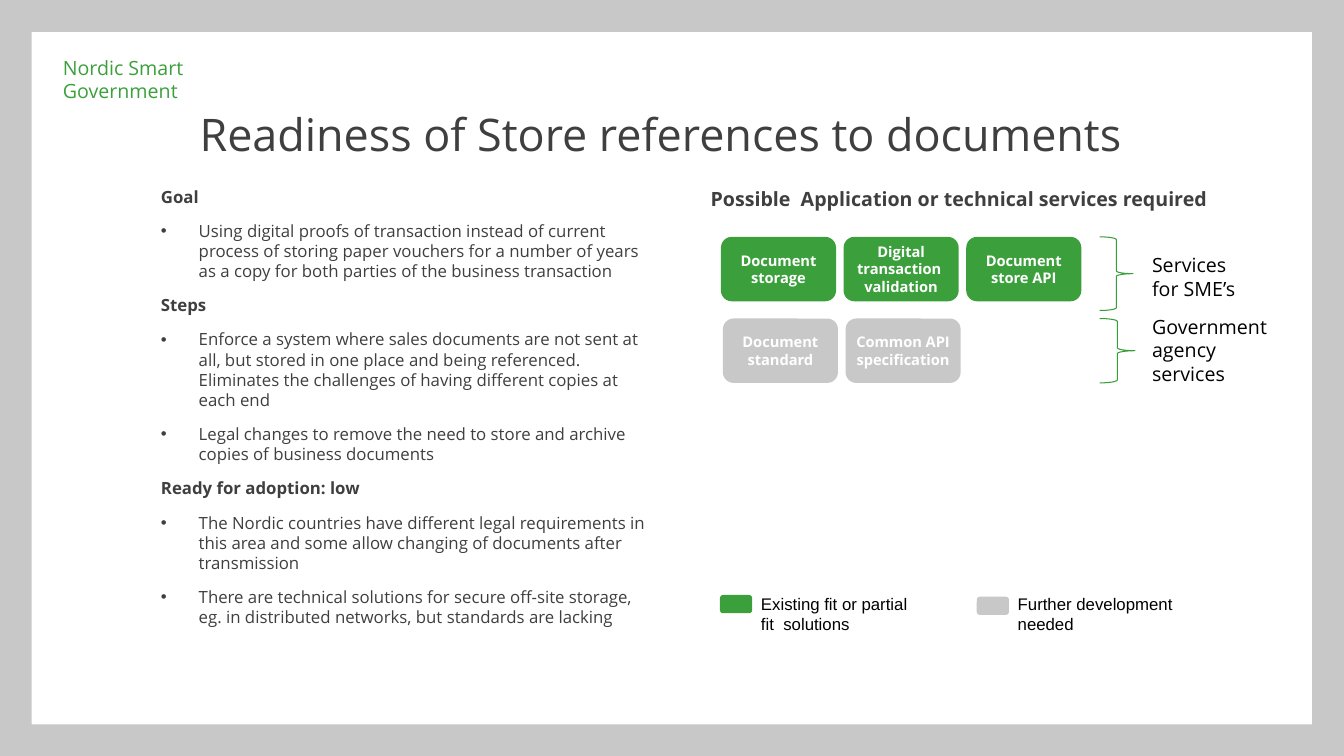
from pptx import Presentation
from pptx.dml.color import RGBColor
from pptx.enum.shapes import MSO_SHAPE
from pptx.enum.text import MSO_ANCHOR, MSO_AUTO_SIZE, PP_ALIGN
from pptx.util import Pt
from lxml.etree import SubElement
from pptx.oxml.ns import qn

COLORS = {"grey": "C8C8C8", "white": "FFFFFF", "green": "3BA03B",
          "brace": "369E36", "text": "3F3F3F", "black": "000000"}


def write(holder, text, size, color="text", font="Open Sans", bold=False,
          align=PP_ALIGN.LEFT, anchor=MSO_ANCHOR.TOP, margins=(7.2, 3.6),
          before=0, indent=0, hanging=0, bullet=False, append=False):
    """Set the text of a shape, or append a paragraph to it."""
    frame = holder.text_frame
    frame.word_wrap = True
    frame.auto_size = MSO_AUTO_SIZE.NONE
    frame.vertical_anchor = anchor
    frame.margin_left = frame.margin_right = Pt(margins[0])
    frame.margin_top = frame.margin_bottom = Pt(margins[1])
    paragraph = frame.add_paragraph() if append else frame.paragraphs[0]
    paragraph.text = text
    paragraph.alignment = align
    paragraph.space_before = Pt(before)
    for run in paragraph.runs:
        run.font.name = font
        run.font.size = Pt(size)
        run.font.bold = bold
        run.font.color.rgb = RGBColor.from_string(COLORS[color])
    properties = paragraph._p.get_or_add_pPr()
    properties.set("marL", str(Pt(indent)))
    properties.set("indent", str(Pt(-hanging)))
    if bullet:
        bullet_color = SubElement(properties, qn("a:buClr"))
        SubElement(bullet_color, qn("a:srgbClr"), val=COLORS[color])
        SubElement(properties, qn("a:buFont"), typeface="Arial")
        SubElement(properties, qn("a:buChar"), char="•")


def add_block(kind, left, top, width, height, fill=None, line=None):
    block = slide.shapes.add_shape(kind, Pt(left), Pt(top), Pt(width), Pt(height))
    block.shadow.inherit = False
    if fill:
        block.fill.solid()
        block.fill.fore_color.rgb = RGBColor.from_string(COLORS[fill])
    else:
        block.fill.background()
    if line:
        block.line.color.rgb = RGBColor.from_string(COLORS[line])
        block.line.width = Pt(0.75)
    else:
        block.line.fill.background()
    return block


deck = Presentation()
deck.slide_width, deck.slide_height = Pt(960), Pt(540)
slide = deck.slides.add_slide(deck.slide_layouts[5])

# Grey frame around a white page, which lies behind the title
slide.background.fill.solid()
slide.background.fill.fore_color.rgb = RGBColor.from_string(COLORS["grey"])
page = add_block(MSO_SHAPE.RECTANGLE, 22.6, 23, 914.5, 494.5, fill="white")
title = slide.shapes.title
title.element.addprevious(page.element)

# Programme name and title
programme = slide.shapes.add_textbox(Pt(37.8), Pt(36.3), Pt(108), Pt(41))
write(programme, "Nordic Smart\vGovernment", 14, color="green")

title.left, title.top, title.width, title.height = Pt(124.5), Pt(68.5), Pt(703), Pt(49.5)
write(title, "Readiness of Store references to documents ", 32.1,
      align=PP_ALIGN.CENTER, anchor=MSO_ANCHOR.BOTTOM)

# Goal, steps and readiness
sections = [
    ("Goal", [
        "Using digital proofs of transaction instead of current process of storing paper "
        "vouchers for a number of years as a copy for both parties of the business transaction"]),
    ("Steps", [
        "Enforce a system where sales documents are not sent at all, but stored in one place and "
        "being referenced. Eliminates the challenges of having different copies at each end",
        "Legal changes to remove the need to store and archive copies of business documents"]),
    ("Ready for adoption: low", [
        "The Nordic countries have different legal requirements in this area and some allow "
        "changing of documents after transmission",
        "There are technical solutions for secure off-site storage, eg. in distributed networks, "
        "but standards are lacking"]),
]
summary = slide.shapes.add_textbox(Pt(98.9), Pt(129.6), Pt(369.4), Pt(342.7))
for number, (heading, points) in enumerate(sections):
    write(summary, heading, 12, bold=True, before=10, indent=9, append=number > 0)
    for point in points:
        write(summary, point, 12, before=10, indent=36, hanging=27,
              bullet=True, append=True)

# Required services
services = slide.shapes.add_textbox(Pt(491.5), Pt(130), Pt(391.7), Pt(318))
write(services, "Possible  Application or technical services required", 14,
      bold=True, before=10, indent=9)

service_rows = [
    (515, 169.2, "green", ["Document storage", "Digital transaction  validation",
                           "Document store API"]),
    (516.4, 227.5, "grey", ["Document standard", "Common API specification"]),
]
for left, top, fill, names in service_rows:
    for column, name in enumerate(names):
        service = add_block(MSO_SHAPE.ROUNDED_RECTANGLE, left + column * 87.6, top,
                            82.2, 46, fill=fill)
        write(service, name, 10.5, color="white", bold=True, align=PP_ALIGN.CENTER,
              anchor=MSO_ANCHOR.MIDDLE, margins=(0, 0))

# Braces and the users they point to
groups = [
    (169.2, 23.8, 52.6, "Services for SME’s", 177.1, 88.6, 41),
    (227.5, 25.2, 46, "Government agency services", 221.2, 107.3, 58.3),
]
for top, width, height, users, label_top, label_width, label_height in groups:
    add_block(MSO_SHAPE.RIGHT_BRACE, 785.5, top, width, height, line="brace")
    label = slide.shapes.add_textbox(Pt(815.8), Pt(label_top), Pt(label_width), Pt(label_height))
    write(label, users, 14, color="black")

# Legend
legend = [
    (514.3, 425, "green", "Existing fit or partial fit  solutions"),
    (697.7, 426.2, "grey", "Further development needed"),
]
for left, top, fill, meaning in legend:
    add_block(MSO_SHAPE.ROUNDED_RECTANGLE, left, top, 23, 13, fill=fill)
    label = slide.shapes.add_textbox(Pt(left + 22.2), Pt(420.5), Pt(127.5), Pt(24.5))
    write(label, meaning, 12, color="black", font="Arial")

deck.save("out.pptx")
